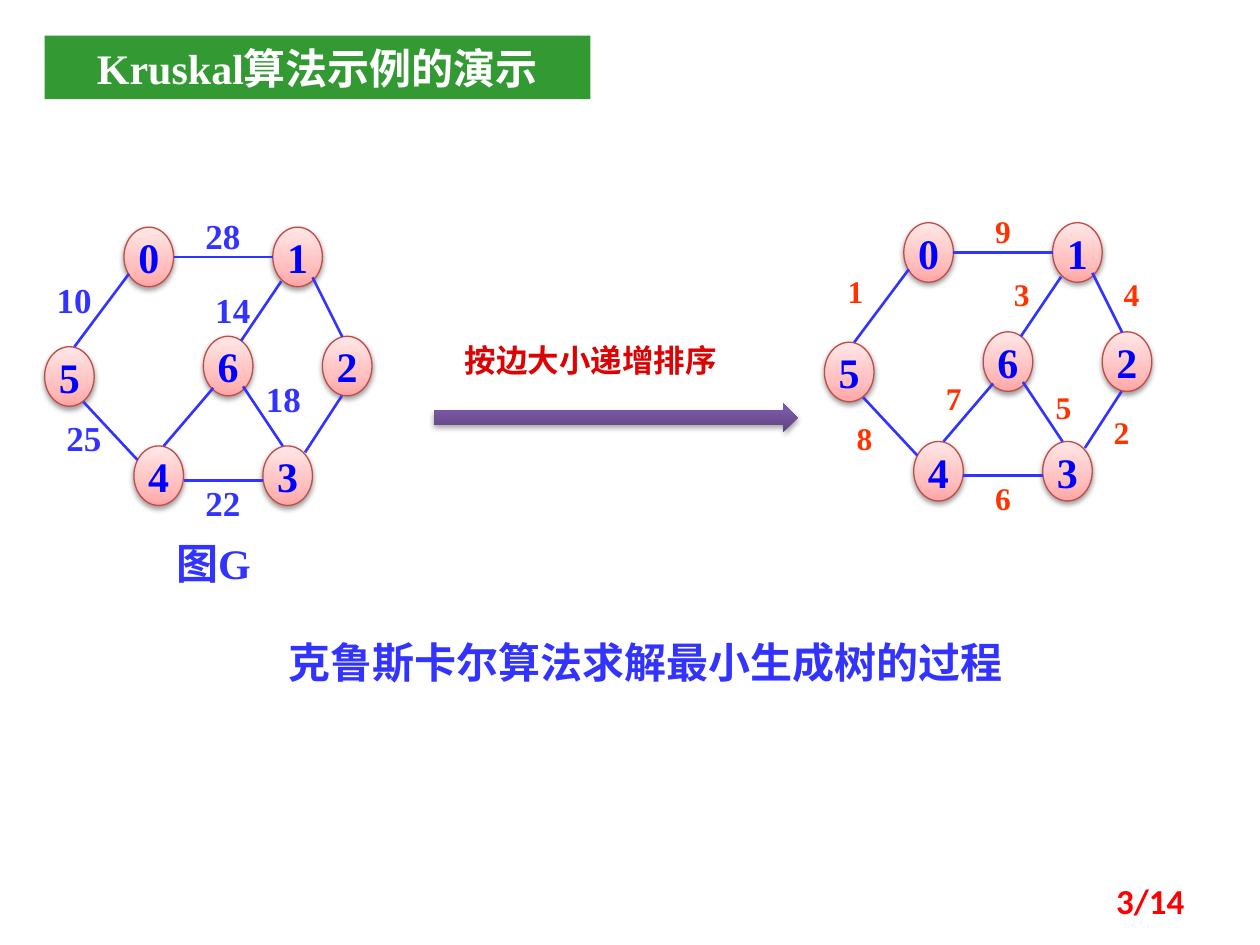
from lxml import etree
from pptx import Presentation
from pptx.dml.color import RGBColor
from pptx.enum.shapes import MSO_CONNECTOR, MSO_SHAPE
from pptx.enum.text import MSO_ANCHOR, MSO_AUTO_SIZE, PP_ALIGN
from pptx.oxml.ns import qn
from pptx.util import Cm, Pt

OVAL, ARROW, LINE = MSO_SHAPE.OVAL, MSO_SHAPE.RIGHT_ARROW, MSO_CONNECTOR.STRAIGHT
LEFT, CENTER, RIGHT = PP_ALIGN.LEFT, PP_ALIGN.CENTER, PP_ALIGN.RIGHT
TOP, MIDDLE, FIXED = MSO_ANCHOR.TOP, MSO_ANCHOR.MIDDLE, MSO_AUTO_SIZE.NONE

WHITE = RGBColor(0xFF, 0xFF, 0xFF)
GREEN = RGBColor(0x33, 0x99, 0x33)
BLUE = RGBColor(0x33, 0x33, 0xFF)
NODE_BLUE = RGBColor(0x00, 0x00, 0xFF)
NODE_EDGE = RGBColor(0xBF, 0x4C, 0x48)
ORANGE = RGBColor(0xFF, 0x33, 0x00)
CRIMSON = RGBColor(0xDB, 0x03, 0x03)
RED = RGBColor(0xFF, 0x00, 0x00)
PINK_STOPS = [(0, "FFA6A5"), (35, "FFC0BF"), (100, "FFE7E7")]
PURPLE_STOPS = [(0, "5F4480"), (80, "7B58A6"), (100, "7C57A8")]

SERIF = {"name": "Times New Roman", "bold": True}
HEADING = {**SERIF, "size": Pt(24)}
WEIGHT = {**SERIF, "size": Pt(20)}
RANK = {**SERIF, "size": Pt(18)}
NUMBER = {"name": "Calibri", "bold": True, "size": Pt(20)}

TITLE = "Kruskal算法示例的演示"
CAPTION = "克鲁斯卡尔算法求解最小生成树的过程"
NODES = {"0": (2.5, 4.58), "1": (5.5, 4.58), "5": (0.9, 6.99), "4": (2.7, 8.99),
         "3": (5.3, 8.99), "6": (4.1, 6.78), "2": (6.5, 6.78)}
EDGES = [
    (3.5, 5.18, 5.5, 5.18), (2.6, 5.52, 1.5, 6.99), (1.68, 8.1, 2.77, 9.27),
    (3.7, 9.68, 5.3, 9.68), (3.3, 8.99, 4.3, 7.82), (4.9, 7.79, 5.7, 8.99),
    (5.67, 5.67, 4.86, 6.87), (6.3, 5.59, 6.9, 6.79), (6.89, 7.98, 6.15, 9.12),
]
WEIGHTS = [("28", 3.89, 4.19), ("10", 0.89, 5.49), ("14", 4.09, 5.69),
           ("25", 1.09, 8.28), ("18", 5.11, 7.49), ("22", 3.89, 9.58)]
RANKS = [("1", 16.84, 5.36), ("2", 22.2, 8.2), ("3", 20.19, 5.41),
         ("8", 17.02, 8.33), ("6", 19.81, 9.53), ("7", 18.82, 7.52),
         ("9", 19.81, 4.14), ("5", 21.03, 7.7), ("4", 22.4, 5.41)]
SORTED_SHIFT = (15.72, -0.09)


def write(shape, text, style, color, align=LEFT, anchor=TOP, wrap=True):
    frame = shape.text_frame
    for name, value in {"word_wrap": wrap, "vertical_anchor": anchor,
                        "auto_size": FIXED}.items():
        setattr(frame, name, value)
    para = frame.paragraphs[0]
    para.alignment = align
    span = para.add_run()
    span.text = text
    for name, value in style.items():
        setattr(span.font, name, value)
    span.font.color.rgb = color


def add_text(shapes, place, *words, **layout):
    write(shapes.add_textbox(*map(Cm, place)), *words, **layout)


def add_shaded(shapes, kind, place, stops, alpha, distance):
    shape = shapes.add_shape(kind, *map(Cm, place))
    shape.fill.gradient()
    shape.fill.gradient_angle = 90
    stop_list = next(shape._element.iter(qn("a:gsLst")))
    stop_list.clear()
    for position, color in stops:
        stop = etree.SubElement(stop_list, qn("a:gs"), pos=str(position * 1000))
        etree.SubElement(stop, qn("a:srgbClr"), val=color)
    shape.shadow.inherit = False
    effects = next(shape._element.iter(qn("a:effectLst")))
    shadow = etree.SubElement(effects, qn("a:outerShdw"), blurRad=str(Pt(3.1)),
                              dist=str(Pt(distance)), dir="5400000", rotWithShape="0")
    tint = etree.SubElement(shadow, qn("a:srgbClr"), val="000000")
    etree.SubElement(tint, qn("a:alpha"), val=str(alpha * 1000))
    return shape


def add_graph(page, shift=(0, 0)):
    across, down = shift
    shapes = page.shapes.add_group_shape().shapes
    for label, (left, top) in NODES.items():
        place = (left + across, top + down, 1, 1.2)
        node = add_shaded(shapes, OVAL, place, PINK_STOPS, 38, 1.6)
        node.line.color.rgb = NODE_EDGE
        node.line.width = Pt(0.75)
        write(node, label, HEADING, NODE_BLUE, CENTER, MIDDLE, wrap=False)
    for x1, y1, x2, y2 in EDGES:
        ends = (x1 + across, y1 + down, x2 + across, y2 + down)
        edge = shapes.add_connector(LINE, *map(Cm, ends))
        edge.line.color.rgb = BLUE
        edge.line.width = Pt(1.5)
        etree.SubElement(edge._element.spPr, qn("a:effectLst"))
    return shapes


def main():
    deck = Presentation()
    deck.slide_width, deck.slide_height = Cm(25.4), Cm(19.05)
    page = deck.slides.add_slide(deck.slide_layouts[5])

    title = page.shapes.title
    title.left, title.top, title.width, title.height = map(Cm, (0.9, 0.72, 11, 1.28))
    title.fill.solid()
    title.fill.fore_color.rgb = GREEN
    write(title, TITLE, HEADING, WHITE, CENTER)

    add_text(page.shapes, (5.56, 12.7, 15.42, 1.27), CAPTION, HEADING, BLUE)

    graph = add_graph(page)
    for text, left, top in WEIGHTS:
        add_text(graph, (left, top, 1.4, 1.09), text, WEIGHT, BLUE)
    add_text(graph, (3.3, 10.72, 2.59, 1.27), "图G", HEADING, BLUE)

    sorted_graph = add_graph(page, SORTED_SHIFT)
    for text, left, top in RANKS:
        add_text(sorted_graph, (left, top, 0.79, 1.02), text, RANK, ORANGE, CENTER)

    step = page.shapes.add_group_shape().shapes
    add_text(step, (9.12, 6.76, 7.01, 1.02), "按边大小递增排序", RANK, CRIMSON)
    arrow = add_shaded(step, ARROW, (8.74, 8.13, 7.34, 0.58), PURPLE_STOPS, 35, 1.8)
    arrow.line.fill.background()

    add_text(page.shapes, (18.21, 17.65, 5.92, 1.02), "3/14", NUMBER, RED,
             align=RIGHT, anchor=MIDDLE)
    deck.save("out.pptx")


if __name__ == "__main__":
    main()
